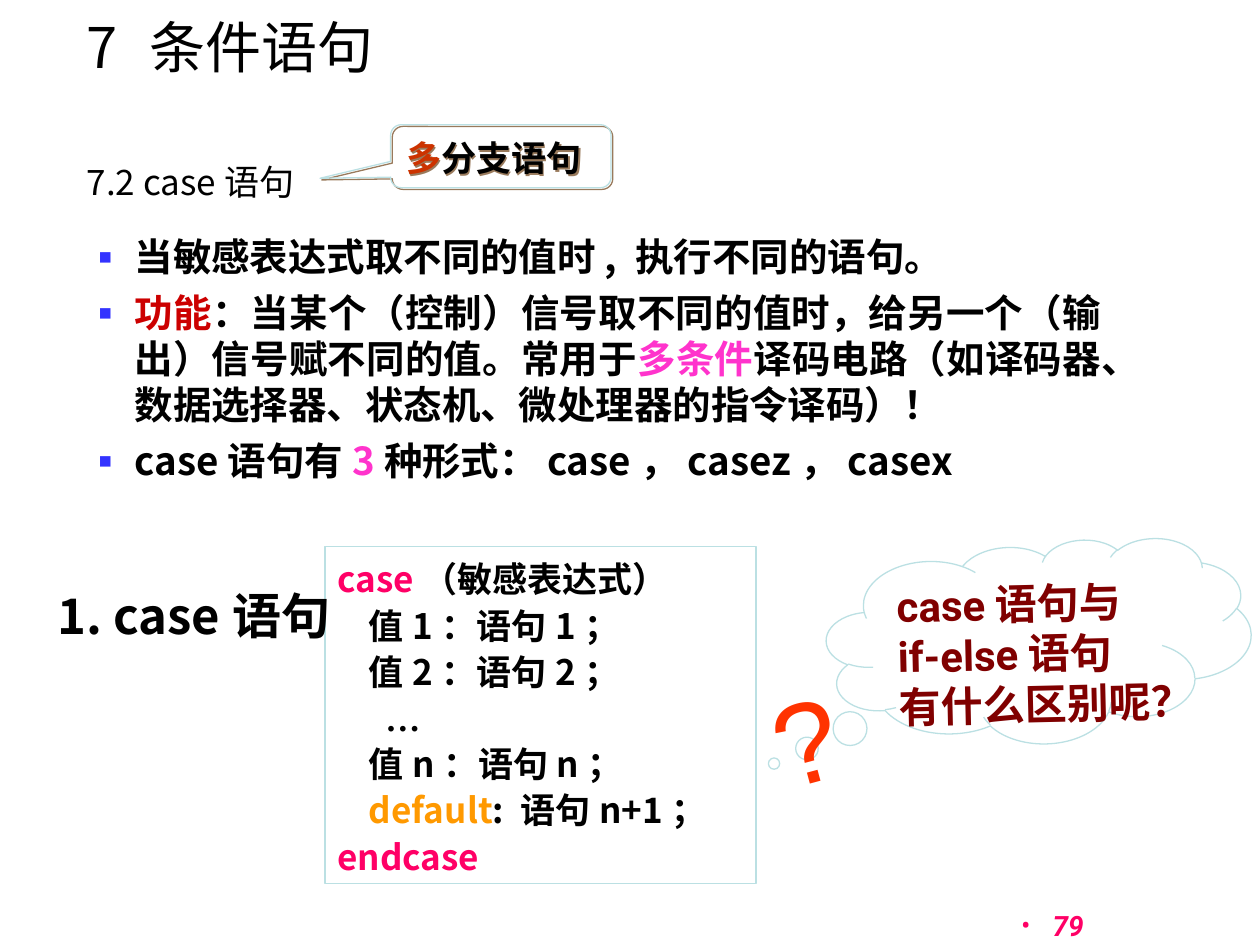
from pptx import Presentation
from pptx.dml.color import RGBColor
from pptx.enum.shapes import MSO_SHAPE
from pptx.enum.text import MSO_ANCHOR, MSO_AUTO_SIZE, PP_ALIGN
from pptx.oxml.ns import qn
from pptx.util import Inches, Pt
from lxml.etree import SubElement

BLACK = RGBColor(0x00, 0x00, 0x00)
PINK = RGBColor(0xFF, 0x00, 0x66)
MAGENTA = RGBColor(0xFF, 0x33, 0xCC)
RED = RGBColor(0xCC, 0x00, 0x00)
BRICK = RGBColor(0xCC, 0x33, 0x00)
MAROON = RGBColor(0x80, 0x00, 0x00)
ORANGE = RGBColor(0xFF, 0x99, 0x00)
SCARLET = RGBColor(0xFF, 0x33, 0x00)
BLUE = RGBColor(0x33, 0x33, 0xFF)
PALE_TEAL = RGBColor(0xBB, 0xE0, 0xE3)
BROWN = RGBColor(0x99, 0x7A, 0x5C)


def add_color(parent, color):
    """Add an RGB colour element to an XML parent."""
    SubElement(parent, qn("a:srgbClr"), val=str(color))


def write_text(box, paragraphs, font="Noto Sans CJK SC", size=20, color=BLACK,
               bold=False, italic=False, align=PP_ALIGN.LEFT, spacing=None,
               before=0, anchor=MSO_ANCHOR.TOP, grow=False, bullet=None,
               bullet_color=None, hanging=0, margins=(), tab=None):
    """Fill a box with paragraphs of (text, colour, font) spans."""
    frame = box.text_frame
    frame.word_wrap = True
    frame.auto_size = MSO_AUTO_SIZE.SHAPE_TO_FIT_TEXT if grow else MSO_AUTO_SIZE.NONE
    frame.vertical_anchor = anchor
    for index, spans in enumerate(paragraphs):
        para = frame.paragraphs[0] if index == 0 else frame.add_paragraph()
        para.alignment = align
        para.space_before = Pt(before)
        if spacing:
            para.line_spacing = spacing
        properties = para._p.get_or_add_pPr()
        margin = margins[index] if margins else hanging
        properties.set("marL", str(Inches(margin)))
        properties.set("indent", str(-Inches(hanging)))
        if bullet:
            add_color(SubElement(properties, qn("a:buClr")), bullet_color)
            SubElement(properties, qn("a:buFont"), typeface=font)
            SubElement(properties, qn("a:buChar"), char=bullet)
        else:
            SubElement(properties, qn("a:buNone"))
        if tab:
            stops = SubElement(properties, qn("a:tabLst"))
            SubElement(stops, qn("a:tab"), pos=str(Inches(tab)), algn="l")
        for text, span_color, span_font in (
                (*span, None, None)[:3] for span in spans):
            span = para.add_run()
            span.text = text
            span.font.name = span_font or font
            span.font.size = Pt(size)
            span.font.bold = bold
            span.font.italic = italic
            span.font.color.rgb = span_color or color
            SubElement(span._r.get_or_add_rPr(), qn("a:ea"),
                       typeface=span_font or font)


class SlideBuilder:
    """Hold the outline style and the current slide."""

    def __init__(self, slide, line_color, line_width):
        """Remember the slide and the outline style."""
        self.slide = slide
        self.line_color = line_color
        self.line_width = line_width

    def title(self, place, paragraphs, **style):
        """Place and fill the title placeholder."""
        box = self.slide.shapes.title
        box.left, box.top, box.width, box.height = map(Inches, place)
        write_text(box, paragraphs, **style)

    def text(self, place, paragraphs, rotation=0, **style):
        """Add a text box."""
        box = self.slide.shapes.add_textbox(*map(Inches, place))
        box.rotation = rotation
        write_text(box, paragraphs, **style)

    def outline(self, kind, place, paragraphs, adjustments=(), rotation=0,
                shadow_color=None, **style):
        """Add an unfilled outlined shape with text."""
        box = self.slide.shapes.add_shape(kind, *map(Inches, place))
        for index, value in enumerate(adjustments):
            box.adjustments[index] = value
        box.rotation = rotation
        box.fill.background()
        box.line.color.rgb = self.line_color
        box.line.width = Pt(self.line_width)
        box.shadow.inherit = False
        if shadow_color:
            effects = box._element.spPr.find(qn("a:effectLst"))
            shadow = SubElement(effects, qn("a:outerShdw"), blurRad="0",
                                dist=str(Pt(1.4)), dir=str(45 * 60000),
                                algn="ctr", rotWithShape="0")
            add_color(shadow, shadow_color)
        write_text(box, paragraphs, **style)


def main():
    """Build and save the slide on the case statement."""
    deck = Presentation()
    deck.slide_width, deck.slide_height = Inches(10), Inches(7.5)
    page = SlideBuilder(deck.slides.add_slide(deck.slide_layouts[5]), PALE_TEAL, 0.75)
    justify = PP_ALIGN.JUSTIFY
    bottom = MSO_ANCHOR.BOTTOM

    page.text((6.37, 7.01, 2.33, 0.52), [[("79",)]], font="Roboto", size=16,
              color=PINK, bold=True, italic=True, align=PP_ALIGN.RIGHT,
              anchor=bottom, bullet="•", bullet_color=PINK, hanging=0.25)
    page.title((0.59, 0.21, 6.22, 0.47), [[("7\t条件语句",)]], size=32,
               anchor=bottom, tab=0.55)
    page.text((0.59, 1.19, 8.66, 5.16), [[("7.2 case语句",)]], align=justify,
              spacing=1.1, before=5, hanging=0.38)
    page.outline(MSO_SHAPE.ROUNDED_RECTANGULAR_CALLOUT, (3.1, 0.99, 1.75, 0.5),
                 [[("多", BRICK), ("分支语句",)]], adjustments=(-0.82, 0.35, 0.17),
                 shadow_color=BROWN, bold=True, anchor=bottom)
    page.outline(MSO_SHAPE.RECTANGLE, (2.58, 4.34, 3.42, 2.67), [
        [("case", PINK), ("（敏感表达式）",)],
        [("值1：语句1；",)],
        [("值2：语句2；",)],
        [("…", BLACK, "Times New Roman")],
        [("值n：语句n；",)],
        [("default", ORANGE), (": 语句n+1；",)],
        [("endcase", PINK)],
    ], bold=True, align=justify, spacing=1.1, anchor=bottom, grow=True,
        margins=(0, 0.25, 0.25, 0.38, 0.25, 0.25, 0))
    page.text((0.36, 4.55, 2.54, 0.8), [[("1. case语句",)]], size=28, bold=True,
              align=justify, spacing=1.1, before=7)
    page.text((0.59, 1.8, 8.25, 2.24), [
        [("当敏感表达式取不同的值时, 执行不同的语句。",)],
        [("功能", RED),
         ("：当某个（控制）信号取不同的值时，给另一个（输出）信号赋不同的值。常用于",),
         ("多条件", MAGENTA),
         ("译码电路（如译码器、数据选择器、状态机、微处理器的指令译码）！",)],
        [("case语句有",), ("3", MAGENTA), ("种形式：case，casez，casex",)],
    ], size=22, bold=True, align=justify, spacing=1.0, before=5.5, bullet="▪",
        bullet_color=BLUE, hanging=0.38)
    page.outline(MSO_SHAPE.CLOUD_CALLOUT, (6.56, 4.29, 3.37, 1.61),
                 [[("case语句与if-else语句有什么区别呢？",)]],
                 adjustments=(-0.63, 0.57), rotation=358.7, font="Roboto",
                 size=24, color=MAROON, bold=True, before=6)
    page.text((6.03, 5.2, 1.09, 1.2), [[("?",)]], rotation=344.9, font="Arial",
              size=66, color=SCARLET, before=41.2, anchor=bottom, grow=True)
    deck.save("out.pptx")


if __name__ == "__main__":
    main()
